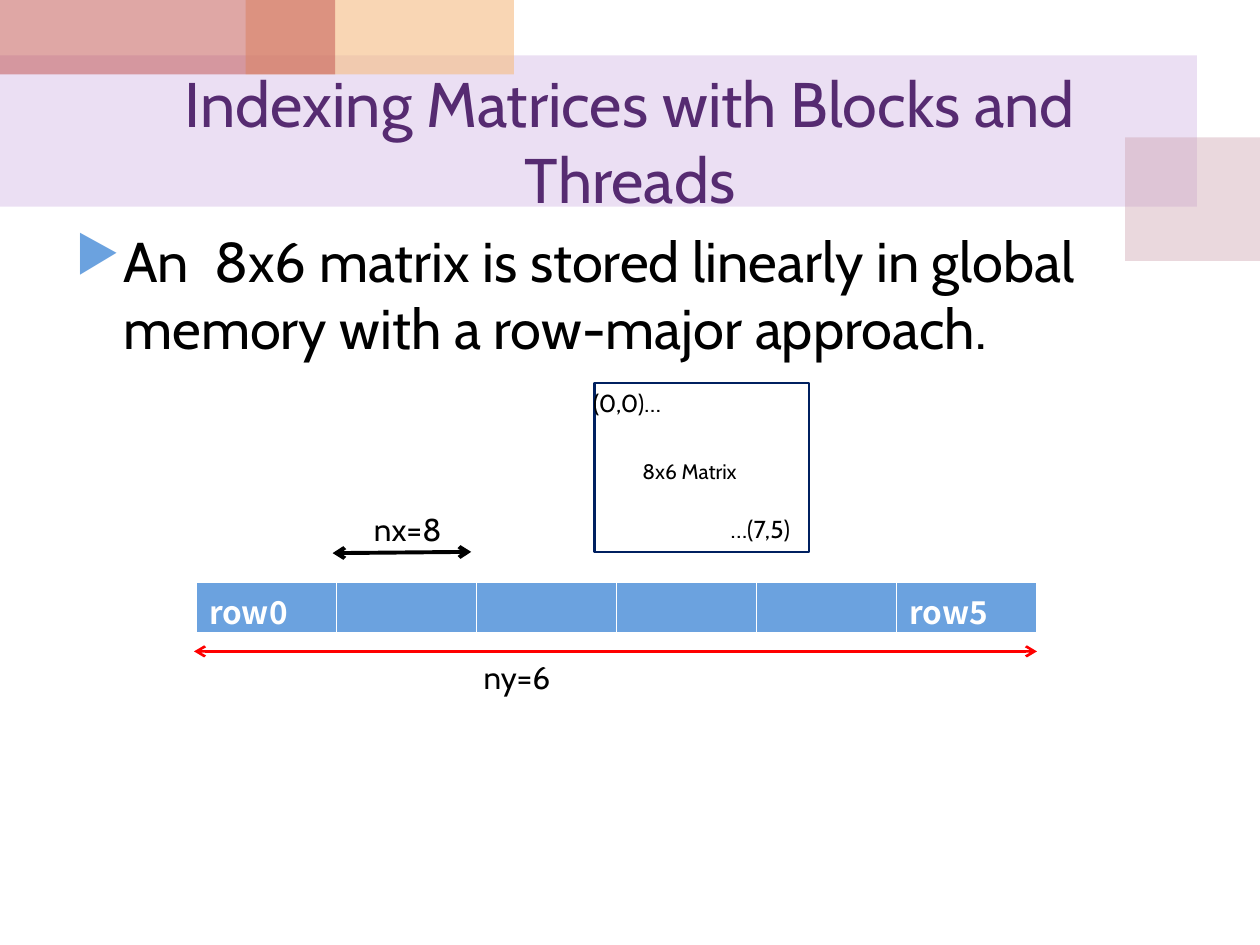
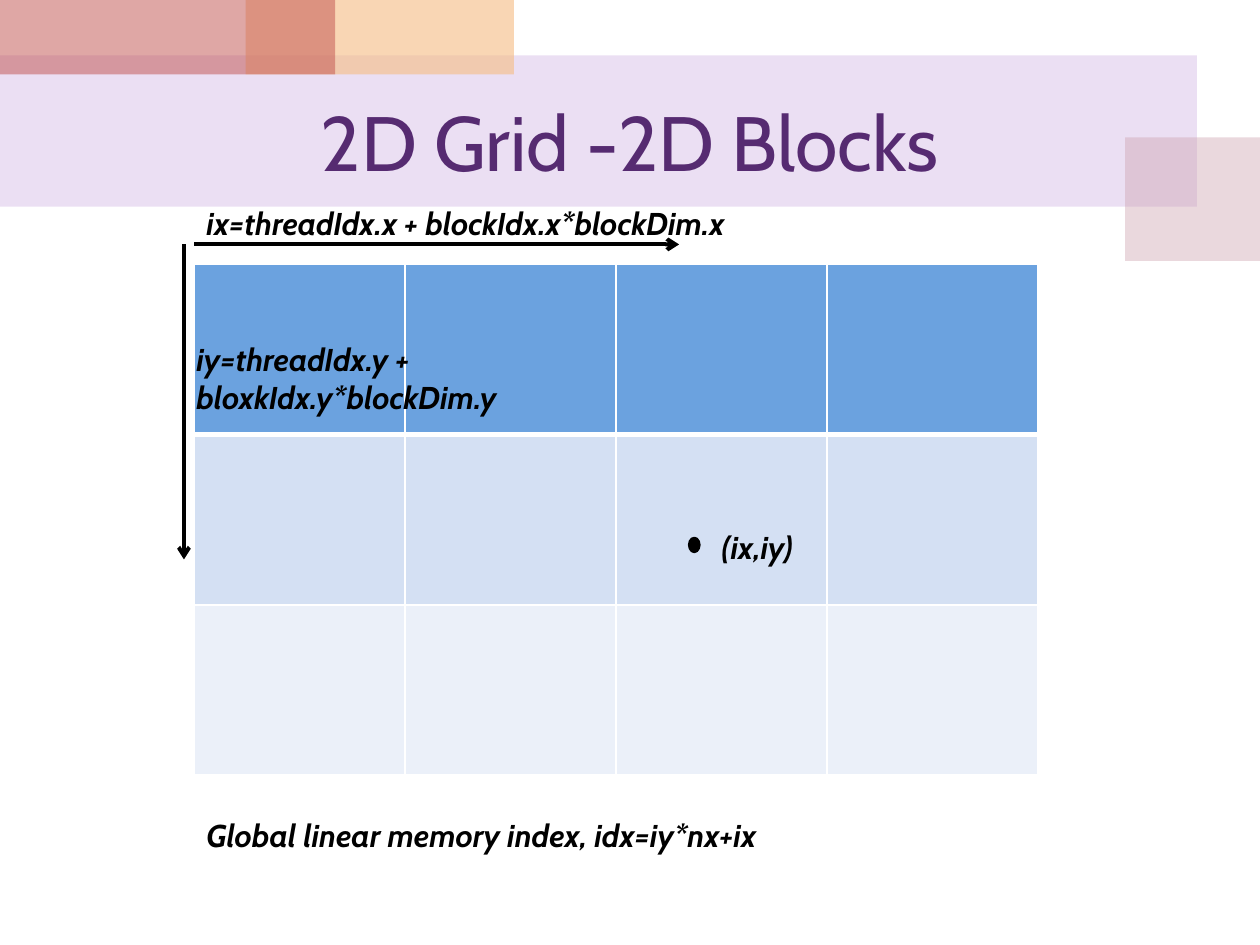
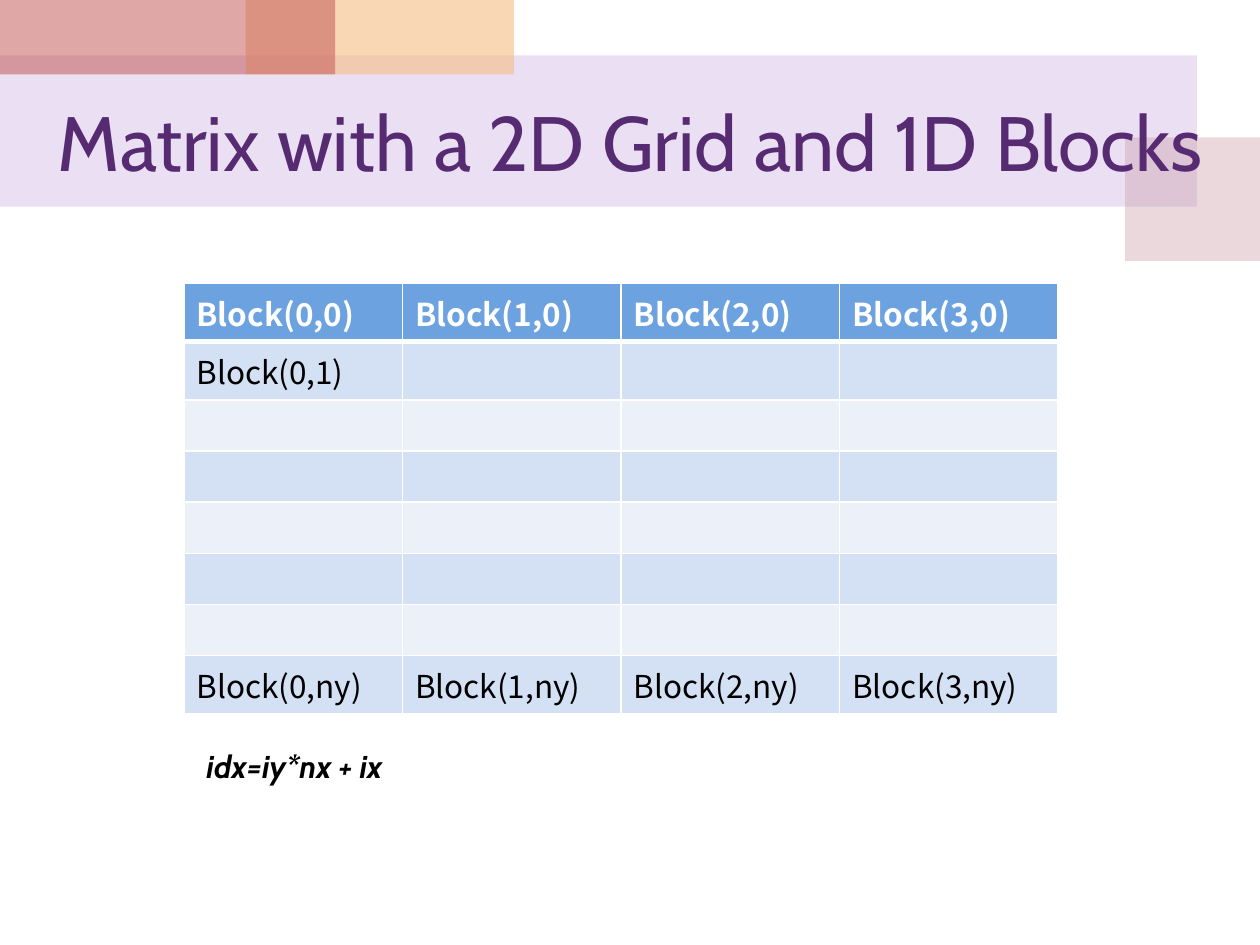
from lxml import etree
from pptx import Presentation
from pptx.dml.color import RGBColor
from pptx.enum.shapes import MSO_CONNECTOR, MSO_SHAPE
from pptx.enum.text import MSO_ANCHOR, MSO_AUTO_SIZE, PP_ALIGN
from pptx.oxml.ns import qn
from pptx.util import Inches, Pt

STRAIGHT = MSO_CONNECTOR.STRAIGHT
RECTANGLE, OVAL = MSO_SHAPE.RECTANGLE, MSO_SHAPE.OVAL
TOP, MIDDLE = MSO_ANCHOR.TOP, MSO_ANCHOR.MIDDLE
LEFT, CENTER = PP_ALIGN.LEFT, PP_ALIGN.CENTER
GROW, FIXED = MSO_AUTO_SIZE.SHAPE_TO_FIT_TEXT, MSO_AUTO_SIZE.NONE

BLACK = RGBColor(0x00, 0x00, 0x00)
WHITE = RGBColor(0xFF, 0xFF, 0xFF)
RED = RGBColor(0xFF, 0x00, 0x00)
NAVY = RGBColor(0x00, 0x20, 0x60)
TITLE_PURPLE = RGBColor(0x56, 0x2B, 0x71)
LILAC = RGBColor(0xBF, 0x98, 0xD8)
ROSE = RGBColor(0xCC, 0x9E, 0xAC)
PEACH = RGBColor(0xF5, 0xBC, 0x83)
BRICK = RGBColor(0xC0, 0x50, 0x4D)
BLUE = RGBColor(0x6B, 0xA2, 0xDF)
BAND_DARK = RGBColor(0xD4, 0xE0, 0xF3)
BAND_LIGHT = RGBColor(0xEB, 0xF0, 0xF9)

TEXT_FONT, TABLE_FONT = "Cabin", "Noto Sans CJK KR"
SLIDE_WIDTH, SLIDE_HEIGHT = 10, 7.5

# left, top, width, height in inches; colour; opacity in percent
BANDS = [
    ((0, 0.44, 9.5, 1.2), LILAC, 30),
    ((8.93, 1.09, 1.07, 0.98), ROSE, 40),
    ((1.95, 0, 2.13, 0.59), PEACH, 60),
    ((0, 0, 2.66, 0.59), BRICK, 50),
]
TITLE_BOX = (0.5, 0.59, 9, 1.05)
WIDE_TITLE_BOX = (0.28, 0.59, 9.45, 1.05)
BODY_BOX = (0.5, 1.75, 9, 4.95)
BULLET_INDENT = 0.38

STORAGE_TEXT = "An  8x6 matrix is stored linearly in global memory with a row-major approach."
MEMORY_ROWS = [["row0", "", "", "", "", "row5"]]
MEMORY_BOX = (1.56, 4.62, 6.67, 0.41)
MATRIX_BOX = (4.72, 3.04, 1.7, 1.34)
MATRIX_LABELS = [
    ("ny=6", (3.74, 5.17, 1.97, 0.4), 18),
    ("nx=8", (2.87, 4, 1.1, 0.4), 18),
    ("(0,0)…", (4.61, 3.03, 1.42, 0.34), 14),
    ("…(7,5)", (5.7, 4.03, 0.71, 0.34), 14),
    ("8x6 Matrix", (5, 3.59, 1.65, 0.3), 12),
]

GRID_ROWS = [[""] * 4 for _ in range(3)]
GRID_BOX = (1.54, 2.1, 6.7, 4.05)
POINT_BOX = (5.47, 4.27, 0.08, 0.11)
GRID_LABELS = [
    ("(ix,iy)", (5.63, 4.14, 1.1, 0.4)),
    ("ix=threadIdx.x + blockIdx.x*blockDim.x", (1.54, 1.57, 5.98, 0.4)),
    ("iy=threadIdx.y + bloxkIdx.y*blockDim.y", (1.46, 2.65, 2.6, 0.71)),
    ("Global linear memory index, idx=iy*nx+ix", (1.54, 6.43, 6.69, 0.4)),
]

BLOCK_ROWS = [
    [f"Block({x},0)" for x in range(4)],
    ["Block(0,1)", "", "", ""],
    *[[""] * 4 for _ in range(5)],
    [f"Block({x},ny)" for x in range(4)],
]
BLOCK_BOX = (1.46, 2.25, 6.94, 3.24)
INDEX_LABEL = ("idx=iy*nx + ix", (1.54, 5.88, 6.77, 0.4))


def inches(box):
    return [Inches(length) for length in box]


def format_font(font, size, color, name=TEXT_FONT, bold=False, italic=False):
    font.name, font.size = name, Pt(size)
    font.bold, font.italic = bold, italic
    font.color.rgb = color


def add_bullet(paragraph):
    properties = paragraph._p.get_or_add_pPr()
    properties.set("marL", str(Inches(BULLET_INDENT)))
    properties.set("indent", str(-Inches(BULLET_INDENT)))
    color = etree.SubElement(properties, qn("a:buClr"))
    etree.SubElement(color, qn("a:srgbClr"), val=str(BLUE))
    etree.SubElement(properties, qn("a:buSzPct"), val="90000")
    etree.SubElement(properties, qn("a:buChar"), char="▶")


def add_text(slide, text, box, size=18, color=BLACK, bold=False, italic=False,
             align=LEFT, anchor=TOP, auto_size=GROW, bullet=False):
    frame = slide.shapes.add_textbox(*inches(box)).text_frame
    frame.word_wrap = True
    frame.auto_size = auto_size
    frame.vertical_anchor = anchor
    paragraph = frame.paragraphs[0]
    paragraph.alignment = align
    if bullet:
        add_bullet(paragraph)
    run = paragraph.add_run()
    run.text = text
    format_font(run.font, size, color, bold=bold, italic=italic)


def add_shape(slide, kind, box, fill=None, line=None, opacity=100):
    shape = slide.shapes.add_shape(kind, *inches(box))
    shape.shadow.inherit = False
    if fill is None:
        shape.fill.background()
    else:
        shape.fill.solid()
        shape.fill.fore_color.rgb = fill
        if opacity < 100:
            color = shape.fill._xPr.find(".//" + qn("a:srgbClr"))
            etree.SubElement(color, qn("a:alpha"), val=str(opacity * 1000))
    if line is None:
        shape.line.fill.background()
    else:
        shape.line.color.rgb = line
        shape.line.width = Pt(1.5)


def add_arrow(slide, start, end, color=BLACK, width=2.25, both_ends=False):
    connector = slide.shapes.add_connector(STRAIGHT, *inches(start + end))
    connector.line.color.rgb = color
    connector.line.width = Pt(width)
    line = connector.line._get_or_add_ln()
    for tag in ["a:headEnd", "a:tailEnd"] if both_ends else ["a:tailEnd"]:
        etree.SubElement(line, qn(tag), type="arrow")
    etree.SubElement(connector._element.spPr, qn("a:effectLst"))


def add_borders(cell, bottom):
    properties = cell._tc.get_or_add_tcPr()
    sides = [("a:lnL", 1), ("a:lnR", 1), ("a:lnT", 1), ("a:lnB", bottom)]
    for position, (tag, width) in enumerate(sides):
        border = etree.Element(qn(tag), w=str(Pt(width)))
        fill = etree.SubElement(border, qn("a:solidFill"))
        etree.SubElement(fill, qn("a:srgbClr"), val=str(WHITE))
        properties.insert(position, border)


def add_table(slide, rows, box):
    """Blue header row, then alternating bands, in equal columns and rows."""
    left, top, width, height = inches(box)
    column_count = len(rows[0])
    table = slide.shapes.add_table(len(rows), column_count, left, top, width, height).table
    for column in table.columns:
        column.width = width // column_count
    for row_index, texts in enumerate(rows):
        header = row_index == 0
        table.rows[row_index].height = height // len(rows)
        fill = BLUE if header else (BAND_LIGHT, BAND_DARK)[row_index % 2]
        for column_index, text in enumerate(texts):
            cell = table.cell(row_index, column_index)
            cell.fill.solid()
            cell.fill.fore_color.rgb = fill
            add_borders(cell, bottom=3 if header else 1)
            if len(rows) == 1:
                cell.margin_bottom = 0
            if text:
                run = cell.text_frame.paragraphs[0].add_run()
                run.text = text
                format_font(run.font, 18, WHITE if header else BLACK, TABLE_FONT, bold=header)


def add_slide(presentation, title, size=44, box=TITLE_BOX):
    slide = presentation.slides.add_slide(presentation.slide_layouts[6])
    for band_box, color, opacity in BANDS:
        add_shape(slide, RECTANGLE, band_box, fill=color, opacity=opacity)
    add_text(slide, title, box, size=size, color=TITLE_PURPLE, align=CENTER,
             anchor=MIDDLE, auto_size=FIXED)
    return slide


def build_storage_slide(presentation):
    slide = add_slide(presentation, "Indexing Matrices with Blocks and Threads", size=36)
    add_text(slide, STORAGE_TEXT, BODY_BOX, size=32, auto_size=FIXED, bullet=True)
    add_arrow(slide, (2.64, 4.39), (3.74, 4.38), both_ends=True)
    add_arrow(slide, (1.54, 5.17), (8.23, 5.17), color=RED, width=1.5, both_ends=True)
    add_table(slide, MEMORY_ROWS, MEMORY_BOX)
    add_shape(slide, RECTANGLE, MATRIX_BOX, line=NAVY)
    for text, box, size in MATRIX_LABELS:
        add_text(slide, text, box, size=size)


def build_grid_slide(presentation):
    slide = add_slide(presentation, "2D Grid -2D Blocks")
    add_table(slide, GRID_ROWS, GRID_BOX)
    add_shape(slide, OVAL, POINT_BOX, fill=BLACK, line=BLACK)
    add_arrow(slide, (1.54, 1.94), (5.39, 1.94))
    add_arrow(slide, (1.46, 1.94), (1.46, 4.44))
    for text, box in GRID_LABELS:
        add_text(slide, text, box, bold=True, italic=True)


def build_block_slide(presentation):
    slide = add_slide(presentation, "Matrix with a 2D Grid and 1D Blocks", box=WIDE_TITLE_BOX)
    add_table(slide, BLOCK_ROWS, BLOCK_BOX)
    add_text(slide, *INDEX_LABEL, bold=True, italic=True)


def main():
    presentation = Presentation()
    presentation.slide_width = Inches(SLIDE_WIDTH)
    presentation.slide_height = Inches(SLIDE_HEIGHT)
    build_storage_slide(presentation)
    build_grid_slide(presentation)
    build_block_slide(presentation)
    presentation.save("out.pptx")


if __name__ == "__main__":
    main()
